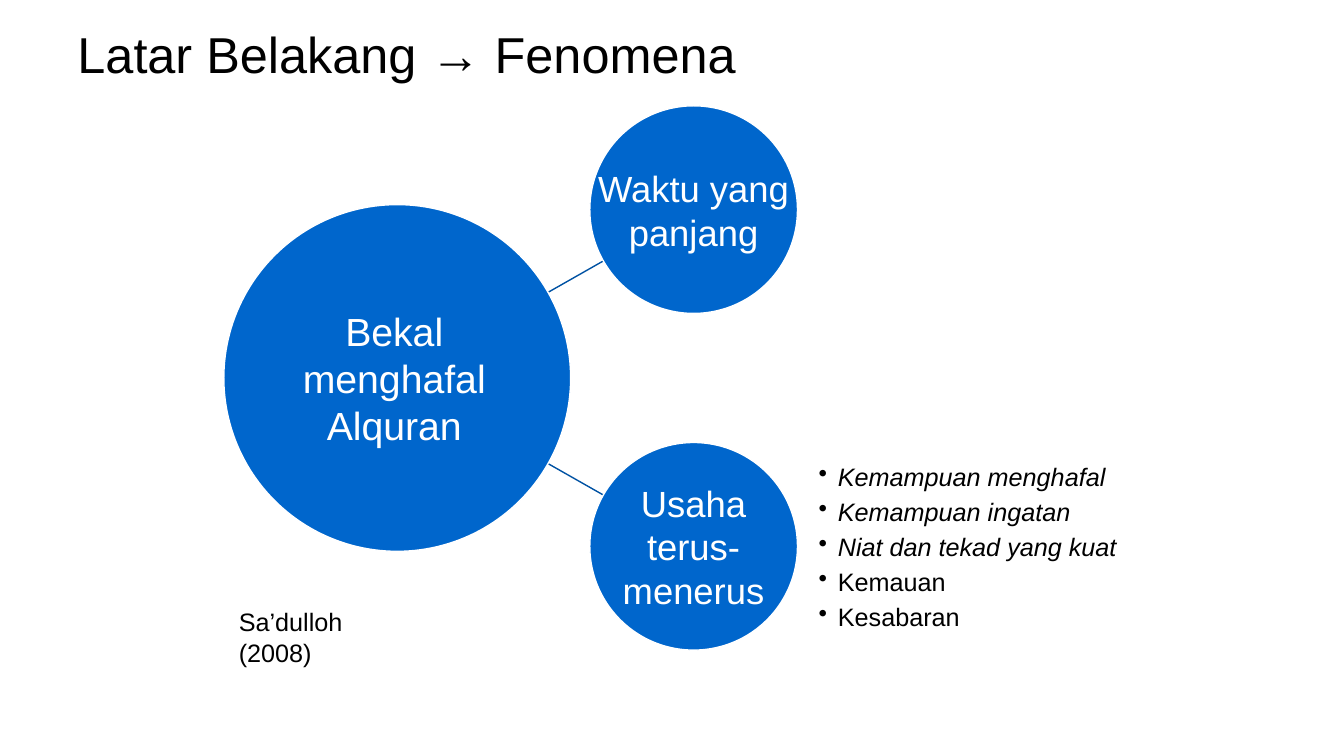
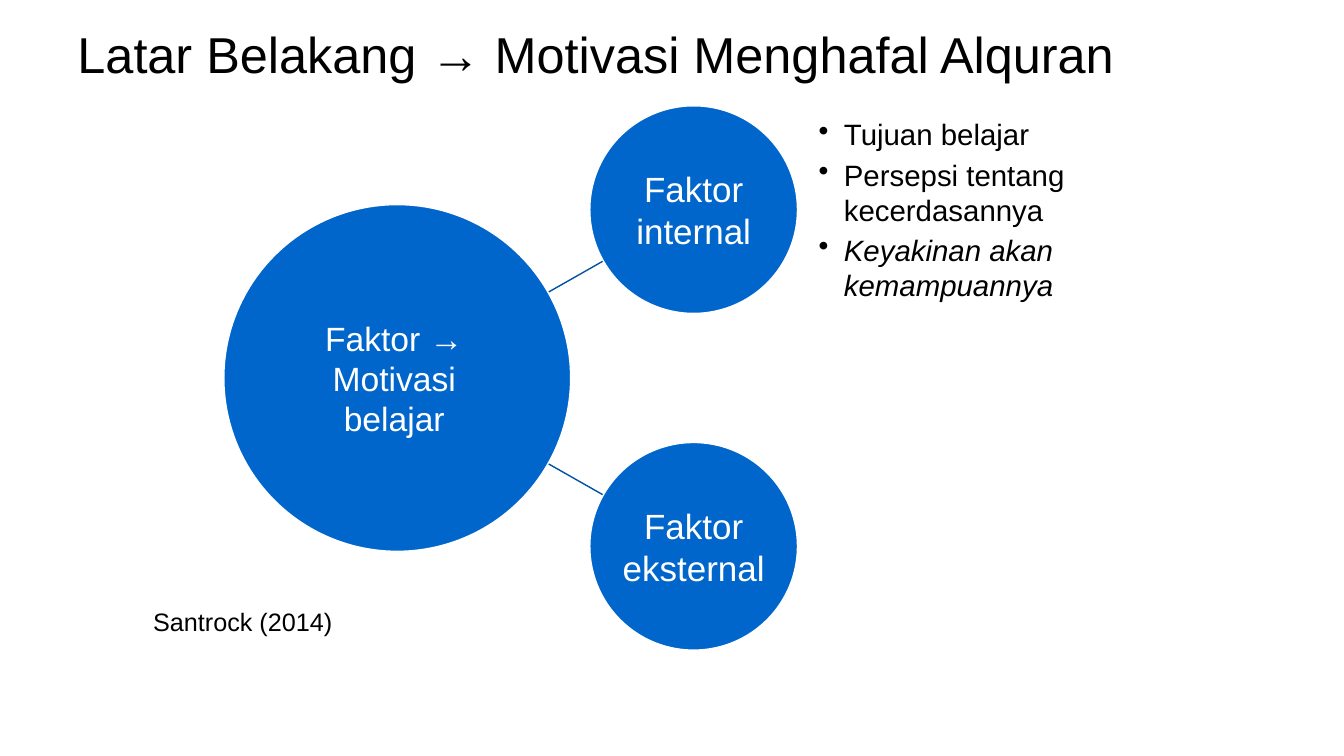
from math import atan2, cos, sin

from lxml import etree
from pptx import Presentation
from pptx.dml.color import RGBColor
from pptx.enum.shapes import MSO_CONNECTOR, MSO_SHAPE
from pptx.enum.text import MSO_ANCHOR, PP_ALIGN
from pptx.oxml.ns import qn
from pptx.util import Inches, Pt

ELLIPSE = MSO_SHAPE.OVAL
STRAIGHT = MSO_CONNECTOR.STRAIGHT
MIDDLE, TOP = MSO_ANCHOR.MIDDLE, MSO_ANCHOR.TOP
LEFT, CENTER = PP_ALIGN.LEFT, PP_ALIGN.CENTER

SLIDE_WIDTH, SLIDE_HEIGHT = 13.33, 7.5
FONT = "Arial"
BLACK, WHITE, BLUE, DARK_BLUE = "000000", "FFFFFF", "0066CC", "0052A3"

TITLE_BOX = (0.67, 0.21, 12, 0.64)
DIAGRAM_BOX = (2.22, 1.05, 9, 5.4)
HUB_DIAMETER = 3.44
SPOKE_DIAMETER = 2.06
SPOKE_OFFSET = 3.63
LIST_OFFSET = 5.9
HUB_TEXT_WIDTH = 2.05
CITATION_TOP = 5.97

SLIDES = [
    {
        "title": "Latar Belakang → Fenomena",
        "hub": ("Bekal menghafal Alquran", 28),
        "spokes": ["Waktu yang panjang", "Usaha terus-menerus"],
        "spoke_size": 26,
        "list_row": 1,
        "list_size": 18,
        "list_indent": 0.19,
        "items": [
            ("Kemampuan menghafal", True),
            ("Kemampuan ingatan", True),
            ("Niat dan tekad yang kuat", True),
            ("Kemauan", False),
            ("Kesabaran", False),
        ],
        "citation": ("Sa’dulloh (2008)", 2.27),
    },
    {
        "title": "Latar Belakang → Motivasi Menghafal Alquran",
        "hub": ("Faktor → Motivasi belajar", 24),
        "spokes": ["Faktor internal", "Faktor eksternal"],
        "spoke_size": 25,
        "list_row": 0,
        "list_size": 21,
        "list_indent": 0.25,
        "items": [
            ("Tujuan belajar", False),
            ("Persepsi tentang kecerdasannya", False),
            ("Keyakinan akan kemampuannya", True),
        ],
        "citation": ("Santrock (2014)", 1.42),
    },
]


def color(hex_string):
    return RGBColor.from_string(hex_string)


def style_paragraph(paragraph, text, size, hex_color, align=LEFT, italic=False):
    paragraph.text = text
    paragraph.alignment = align
    font = paragraph.font
    font.name, font.size, font.italic = FONT, Pt(size), italic
    font.color.rgb = color(hex_color)


def add_frame(slide, box, anchor=MIDDLE, margins=(0.1, 0.05), wrap=True):
    """Add an empty text box and return its text frame."""
    frame = slide.shapes.add_textbox(*map(Inches, box)).text_frame
    frame.word_wrap = wrap
    frame.vertical_anchor = anchor
    frame.margin_left = frame.margin_right = Inches(margins[0])
    frame.margin_top = frame.margin_bottom = Inches(margins[1])
    return frame


def add_title(slide, text):
    frame = add_frame(slide, TITLE_BOX)
    style_paragraph(frame.paragraphs[0], text, 36, BLACK)


def add_circle(slide, center, diameter):
    x, y = center
    box = (x - diameter / 2, y - diameter / 2, diameter, diameter)
    circle = slide.shapes.add_shape(ELLIPSE, *map(Inches, box))
    circle.shadow.inherit = False
    circle.fill.solid()
    circle.fill.fore_color.rgb = color(BLUE)
    circle.line.color.rgb = color(WHITE)
    circle.line.width = Pt(1)


def add_circle_label(slide, center, width, height, text, size):
    """Text box centred on a circle, so lines may use its full width."""
    x, y = center
    box = (x - width / 2, y - height / 2, width, height)
    frame = add_frame(slide, box, margins=(0.02, 0.02))
    style_paragraph(frame.paragraphs[0], text, size, WHITE, CENTER)


def add_link(slide, hub_center, spoke_center):
    """Line between the edges of two circles, along the line of centres."""
    (x1, y1), (x2, y2) = hub_center, spoke_center
    angle = atan2(y2 - y1, x2 - x1)
    hub_radius, spoke_radius = HUB_DIAMETER / 2, SPOKE_DIAMETER / 2
    ends = (
        x1 + hub_radius * cos(angle), y1 + hub_radius * sin(angle),
        x2 - spoke_radius * cos(angle), y2 - spoke_radius * sin(angle),
    )
    link = slide.shapes.add_connector(STRAIGHT, *map(Inches, ends))
    link.line.color.rgb = color(DARK_BLUE)
    link.line.width = Pt(1)
    etree.SubElement(link._element.spPr, qn("a:effectLst"))


def add_bullet_list(slide, box, items, size, indent):
    frame = add_frame(slide, box, margins=(0, 0))
    for index, (text, italic) in enumerate(items):
        paragraph = frame.add_paragraph() if index else frame.paragraphs[0]
        style_paragraph(paragraph, text, size, BLACK, italic=italic)
        paragraph.space_after = Pt(3.5)
        properties = paragraph._p.get_or_add_pPr()
        properties.set("marL", str(Inches(indent)))
        properties.set("indent", str(-Inches(indent)))
        bullet = etree.Element(qn("a:buChar"), char="•")
        properties.find(qn("a:defRPr")).addprevious(bullet)


def add_hub_diagram(slide, box, content):
    """Large circle at the left, two smaller ones and a list at the right."""
    left, top, width, height = box
    radius = SPOKE_DIAMETER / 2
    hub_center = (left + HUB_DIAMETER / 2, top + height / 2)
    spoke_x = left + SPOKE_OFFSET + radius
    spoke_centers = [(spoke_x, top + radius), (spoke_x, top + height - radius)]

    for center in spoke_centers:
        add_link(slide, hub_center, center)
    add_circle(slide, hub_center, HUB_DIAMETER)
    hub_text, hub_size = content["hub"]
    label_center = (hub_center[0] - 0.03, hub_center[1])
    add_circle_label(slide, label_center, HUB_TEXT_WIDTH, HUB_DIAMETER / 2,
                     hub_text, hub_size)
    for center, text in zip(spoke_centers, content["spokes"]):
        add_circle(slide, center, SPOKE_DIAMETER)
        add_circle_label(slide, center, SPOKE_DIAMETER, SPOKE_DIAMETER,
                         text, content["spoke_size"])

    list_top = spoke_centers[content["list_row"]][1] - radius
    list_box = (left + LIST_OFFSET, list_top, width - LIST_OFFSET, SPOKE_DIAMETER)
    add_bullet_list(slide, list_box, content["items"],
                    content["list_size"], content["list_indent"])


def add_citation(slide, text, left):
    frame = add_frame(slide, (left, CITATION_TOP, 2, 0.4), anchor=TOP, wrap=False)
    style_paragraph(frame.paragraphs[0], text, 18, BLACK)


def main():
    presentation = Presentation()
    presentation.slide_width = Inches(SLIDE_WIDTH)
    presentation.slide_height = Inches(SLIDE_HEIGHT)
    blank_layout = presentation.slide_layouts[6]
    for content in SLIDES:
        slide = presentation.slides.add_slide(blank_layout)
        add_title(slide, content["title"])
        add_hub_diagram(slide, DIAGRAM_BOX, content)
        add_citation(slide, *content["citation"])
    presentation.save("out.pptx")


if __name__ == "__main__":
    main()
